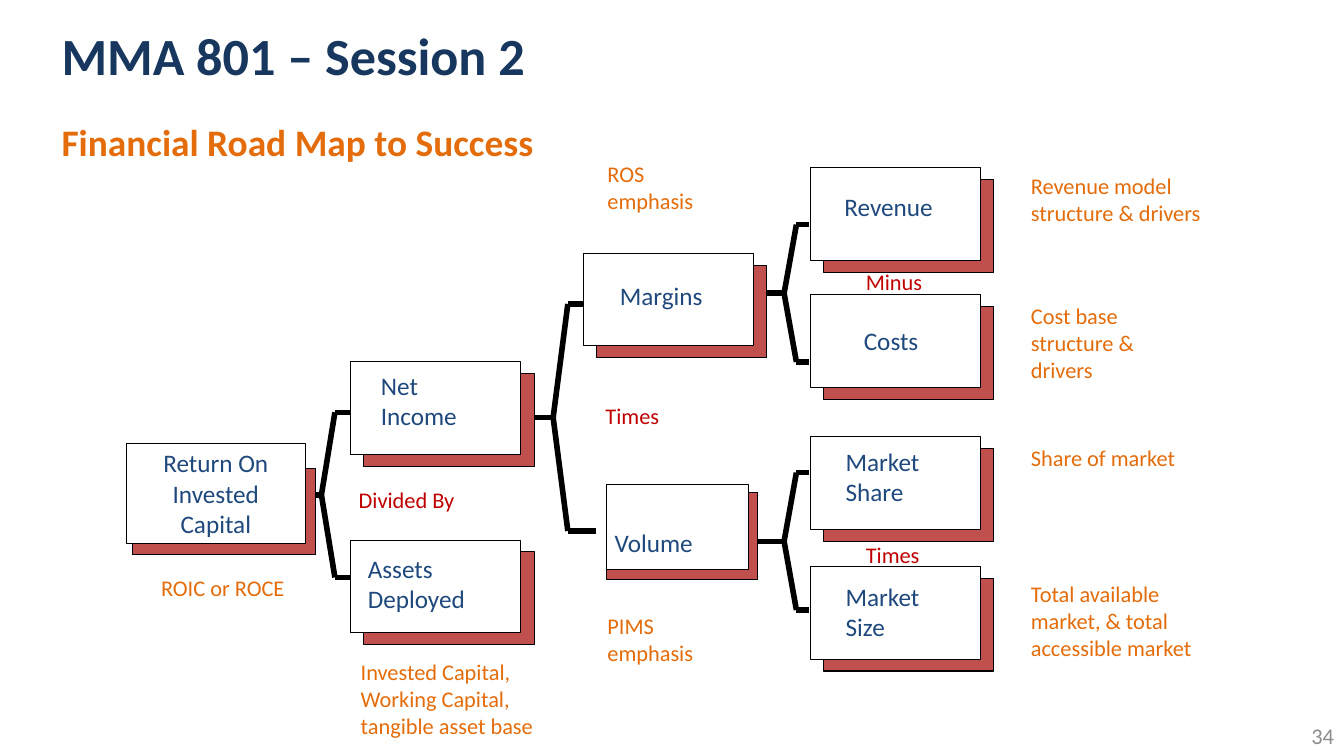
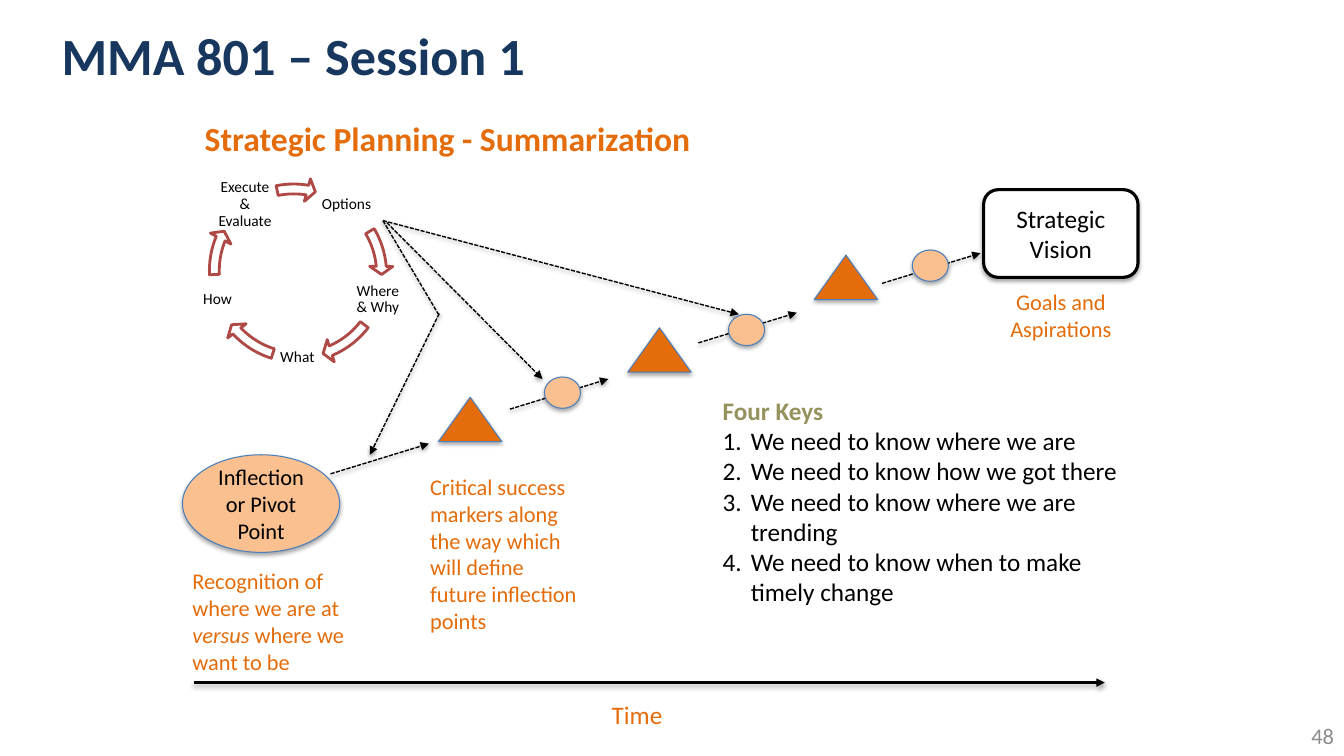
"""Build two strategy course slides: a return road map and a planning summary."""
from dataclasses import dataclass, field
from lxml.etree import SubElement
from pptx import Presentation
from pptx.dml.color import RGBColor
from pptx.enum.dml import MSO_LINE
from pptx.enum.shapes import MSO_CONNECTOR, MSO_SHAPE
from pptx.enum.text import MSO_ANCHOR, MSO_AUTO_SIZE, PP_ALIGN
from pptx.oxml.ns import qn
from pptx.util import Cm, Pt

HUES = {
    "navy": "17375E", "blue": "1F497D", "edge": "4B7EBC",
    "orange": "E46C0A", "peach": "FAC090", "brick": "C0504D",
    "rust": "AE4946", "red": "C00000", "olive": "95925E",
    "grey": "8C8C8C", "black": "000000", "white": "FFFFFF",
}
FONT = "Calibri"
LEFT, MID, RIGHT = PP_ALIGN.LEFT, PP_ALIGN.CENTER, PP_ALIGN.RIGHT
WIDE, HIGH = 33.87, 19.05


def tint(name):
    return RGBColor.from_string(HUES[name])


def place(shape, *rect):
    shape.left, shape.top, shape.width, shape.height = map(Cm, rect)


def put(frame, text, size=16, hue="orange", bold=False, align=LEFT,
        middle=False, pads=(0.25, 0.13, 0.25, 0.13), lead=1, list_mark=None):
    frame.word_wrap = True
    frame.auto_size = MSO_AUTO_SIZE.NONE
    frame.vertical_anchor = MSO_ANCHOR.MIDDLE if middle else MSO_ANCHOR.TOP
    frame.margin_left, frame.margin_top, frame.margin_right, frame.margin_bottom = map(Cm, pads)
    for line in text.split("\n"):
        para = frame.paragraphs[0]
        if para.runs:
            para = frame.add_paragraph()
        para.alignment = align
        para.line_spacing = lead
        para.space_before = Pt(0)
        props = para._p.get_or_add_pPr()
        dent = Cm(0.71) if list_mark else 0
        props.set("marL", str(dent))
        props.set("indent", str(-dent))
        if list_mark:
            SubElement(props, qn("a:buFont"), typeface="+mj-lt")
            SubElement(props, qn("a:buAutoNum"), type=list_mark)
        else:
            SubElement(props, qn("a:buNone"))
        for spot, part in enumerate(line.split("*")):
            run = para.add_run()
            run.text = part
            font = run.font
            font.name, font.size, font.bold = FONT, Pt(size), bold
            font.italic = spot % 2 == 1
            font.color.rgb = tint(hue)


def shade(effects, drop, alpha):
    cast = SubElement(effects, qn("a:outerShdw"), blurRad=str(Pt(3.1)),
                      dist=str(Pt(drop)), dir="5400000", rotWithShape="0")
    ink = SubElement(cast, qn("a:srgbClr"), val=HUES["black"])
    SubElement(ink, qn("a:alpha"), val=str(alpha * 1000))


@dataclass
class Deck:
    file: object = field(default_factory=Presentation)
    page: object = None

    def size(self):
        self.file.slide_width, self.file.slide_height = Cm(WIDE), Cm(HIGH)

    def start(self, title, number):
        self.page = self.file.slides.add_slide(self.file.slide_layouts[1])
        head = self.page.shapes.title
        place(head, 1.3, 0.18, 27.79, 2.39)
        put(head.text_frame, title, size=37.3, hue="navy", bold=True, middle=True)
        self.note(number, WIDE - 4.14, 18.03, 4.14, 1.02,
                  hue="grey", align=RIGHT, middle=True)

    def body(self, *rect):
        hold = self.page.placeholders[1]
        place(hold, *rect)
        return hold.text_frame

    def note(self, text, x, y, w, h=1, **style):
        area = self.page.shapes.add_textbox(Cm(x), Cm(y), Cm(w), Cm(h))
        put(area.text_frame, text, **style)

    def shape(self, kind, x, y, w, h, fill, line="black", width=0.75, cast=False):
        form = self.page.shapes.add_shape(kind, Cm(x), Cm(y), Cm(w), Cm(h))
        form.shadow.inherit = False
        form.fill.solid()
        form.fill.fore_color.rgb = tint(fill)
        form.line.color.rgb = tint(line)
        form.line.width = Pt(width)
        if cast:
            shade(form.element.spPr.find(qn("a:effectLst")), 1.8, 35)
        return form

    def box(self, text, x, y, pads, w=4.29, h=2.34, back=(0.33, 0.3, 4.29, 2.34), align=LEFT):
        dx, dy, bw, bh = back
        self.shape(MSO_SHAPE.RECTANGLE, x + dx, y + dy, bw, bh, "brick")
        front = self.shape(MSO_SHAPE.RECTANGLE, x, y, w, h, "white")
        put(front.text_frame, text, size=18, hue="blue", align=align, pads=(*pads, 0, 0))

    def line(self, x, y, x2, y2, width=4, dash=False, head=False, cast=False):
        link = self.page.shapes.add_connector(
            MSO_CONNECTOR.STRAIGHT, Cm(x), Cm(y), Cm(x2), Cm(y2))
        link.line.color.rgb = tint("black")
        link.line.width = Pt(width)
        if dash:
            link.line.dash_style = MSO_LINE.SQUARE_DOT
        props = link.element.spPr
        if head:
            SubElement(props.find(qn("a:ln")), qn("a:tailEnd"), type="triangle")
        effects = SubElement(props, qn("a:effectLst"))
        if cast:
            shade(effects, 1.6, 38)

    def fork(self, x, y, bend, tip, rise, ends):
        self.line(x, y, bend, y)
        for side, end in zip((-rise, rise), ends):
            self.line(bend, y, tip, y + side)
            self.line(tip, y + side, end, y + side)

    def trail(self, x, y, x2, y2, head=True):
        self.line(x, y, x2, y2, width=1, dash=True, head=head, cast=True)

    def loop(self, x, y, start, end):
        turn = self.shape(MSO_SHAPE.CIRCULAR_ARROW, x, y, 4.8, 4.8, "white", "rust", 2)
        for spot, value in enumerate((0.052, 3.355, end * 0.6, start * 0.6, 0.061)):
            turn.adjustments[spot] = value


def road_map(deck):
    deck.start("MMA 801 – Session 2", "34")
    put(deck.body(1.3, 2.87, 31.37, 14.2), "Financial Road Map to Success",
        size=26.7, bold=True)

    deck.fork(7.01, 12.47, 8.1, 8.44, 2.08, (8.84, 8.84))
    deck.fork(12.85, 10.52, 13.94, 14.31, 2.86, (14.68, 15.01))
    for y in (7.39, 13.64):
        deck.fork(18.8, y, 19.76, 20.07, 1.73, (20.4, 20.4))

    for text, x, y, pads in (
        ("Net\nIncome", 8.84, 9.12, (0.76, 0.2)),
        ("Assets\nDeployed", 8.84, 13.61, (0.43, 0.33)),
        ("Margins", 14.71, 6.38, (0.91, 0.69)),
        ("Revenue", 20.42, 4.22, (0.86, 0.61)),
        ("Costs", 20.42, 7.42, (1.35, 0.79)),
        ("Market\nShare", 20.42, 11, (0.89, 0.25)),
        ("Market\nSize", 20.42, 14.27, (0.89, 0.38)),
    ):
        deck.box(text, x, y, pads)
    deck.box("Volume", 15.29, 12.22, (0.2, 1.07), 3.58, 2.13, (0, 0.18, 3.81, 2.21))
    deck.box("Return On\nInvested\nCapital", 3.18, 11.18, (0, 0.1), 4.52, 2.51,
             (0.15, 0.63, 4.62, 2.16), MID)

    for text, x, y in (
        ("Minus", 21.57, 6.63),
        ("Times", 21.57, 13.51),
        ("Times", 15.01, 10.01),
        ("Divided By", 8.79, 12.12),
    ):
        deck.note(text, x, y, 3.4, hue="red")

    for text, x, y, w, h in (
        ("Invested Capital, Working Capital, tangible asset base", 8.84, 16.46, 5.79, 2.31),
        ("Revenue model structure & drivers", 25.73, 4.22, 5.61, 1.63),
        ("Cost base structure & drivers", 25.73, 7.49, 4.27, 2.31),
        ("Share of market", 25.73, 11.07, 4.27, 0.94),
        ("Total available market, & total accessible market", 25.73, 14.5, 5.61, 2.31),
        ("ROS emphasis", 15.06, 3.91, 3.61, 1.63),
        ("PIMS emphasis", 15.06, 15.29, 3.61, 1.63),
        ("ROIC or ROCE", 3.81, 14.35, 3.76, 0.94),
    ):
        deck.note(text, x, y, w, h)


def summary(deck):
    deck.start("MMA 801 – Session 1", "48")
    keys = deck.body(17.96, 9.83, 11.02, 5.64)
    put(keys, "Four Keys", size=18, hue="olive", bold=True)
    put(keys, "We need to know where we are\n"
        "We need to know how we got there\n"
        "We need to know where we are trending\n"
        "We need to know when to make timely change",
        size=18, hue="black", list_mark="arabicPeriod")
    deck.note("Strategic Planning - Summarization", 4.98, 2.92, 17.6, 1.12,
              size=24, bold=True, middle=True, pads=(0.18, 0.1, 0.18, 0.1))

    for x, y, start, end in (
        (5.11, 4.5, 329.4, 354.9),
        (5.11, 4.5, 37.5, 66.9),
        (5.11, 4.5, 107.5, 136.9),
        (5.11, 4.42, 177.3, 202.5),
        (5, 4.47, 258.7, 279.5),
    ):
        deck.loop(x, y, start, end)
    for text, x, y, w in (
        ("Options", 7.95, 4.52, 1.57),
        ("Where & Why", 8.89, 6.91, 1.27),
        ("What", 6.86, 8.38, 1.27),
        ("How", 4.85, 6.91, 1.27),
        ("Execute\n&\nEvaluate", 5.36, 4.52, 1.63),
    ):
        deck.note(text, x, y, w, 1.27, size=11, hue="black", align=MID,
                  middle=True, lead=0.9, pads=(0.05,) * 4)

    for x, y in ((8.33, 11.94), (12.85, 10.31), (17.6, 8.64), (22.23, 7.14)):
        deck.trail(x, y, x + 2.48, y - 0.76)
    deck.trail(9.75, 5.61, 13.67, 9.55)
    deck.trail(9.65, 5.56, 18.62, 7.92)
    deck.trail(9.65, 5.56, 11.05, 7.92, head=False)
    deck.trail(11.07, 7.9, 9.32, 11.46)
    for x, y in ((11.05, 10.01), (15.82, 8.26), (20.52, 6.43)):
        deck.shape(MSO_SHAPE.ISOSCELES_TRIANGLE, x, y, 1.6, 1.12, "orange", "edge", cast=True)
    for x, y in ((13.72, 9.5), (18.36, 7.92), (22.99, 6.3)):
        deck.shape(MSO_SHAPE.OVAL, x, y, 0.91, 0.79, "peach", "edge", cast=True)

    pivot = deck.shape(MSO_SHAPE.OVAL, 4.6, 11.46, 3.96, 2.46, "peach", "edge", cast=True)
    put(pivot.text_frame, "Inflection or Pivot Point", hue="black", align=MID, middle=True)
    goal = deck.shape(MSO_SHAPE.ROUNDED_RECTANGLE, 24.79, 4.78, 3.89, 2.21,
                      "white", width=2.25, cast=True)
    put(goal.text_frame, "Strategic Vision", size=18, hue="black", align=MID, middle=True)

    deck.note("Goals and Aspirations", 24.79, 7.14, 3.89, 1.63, align=MID)
    deck.note("Recognition of where we are at *versus* where we want to be",
              4.6, 14.17, 4.67, 3)
    deck.note("Critical success markers along the way which will define future inflection points",
              10.59, 11.79, 4.32, 4.37)
    deck.line(4.88, 17.2, 27.84, 17.2, width=2, head=True, cast=True)
    deck.note("Time", 13.49, 17.48, 5.13, 1.02, size=18, align=MID)


def main():
    deck = Deck()
    deck.size()
    road_map(deck)
    summary(deck)
    deck.file.save("out.pptx")


if __name__ == "__main__":
    main()
